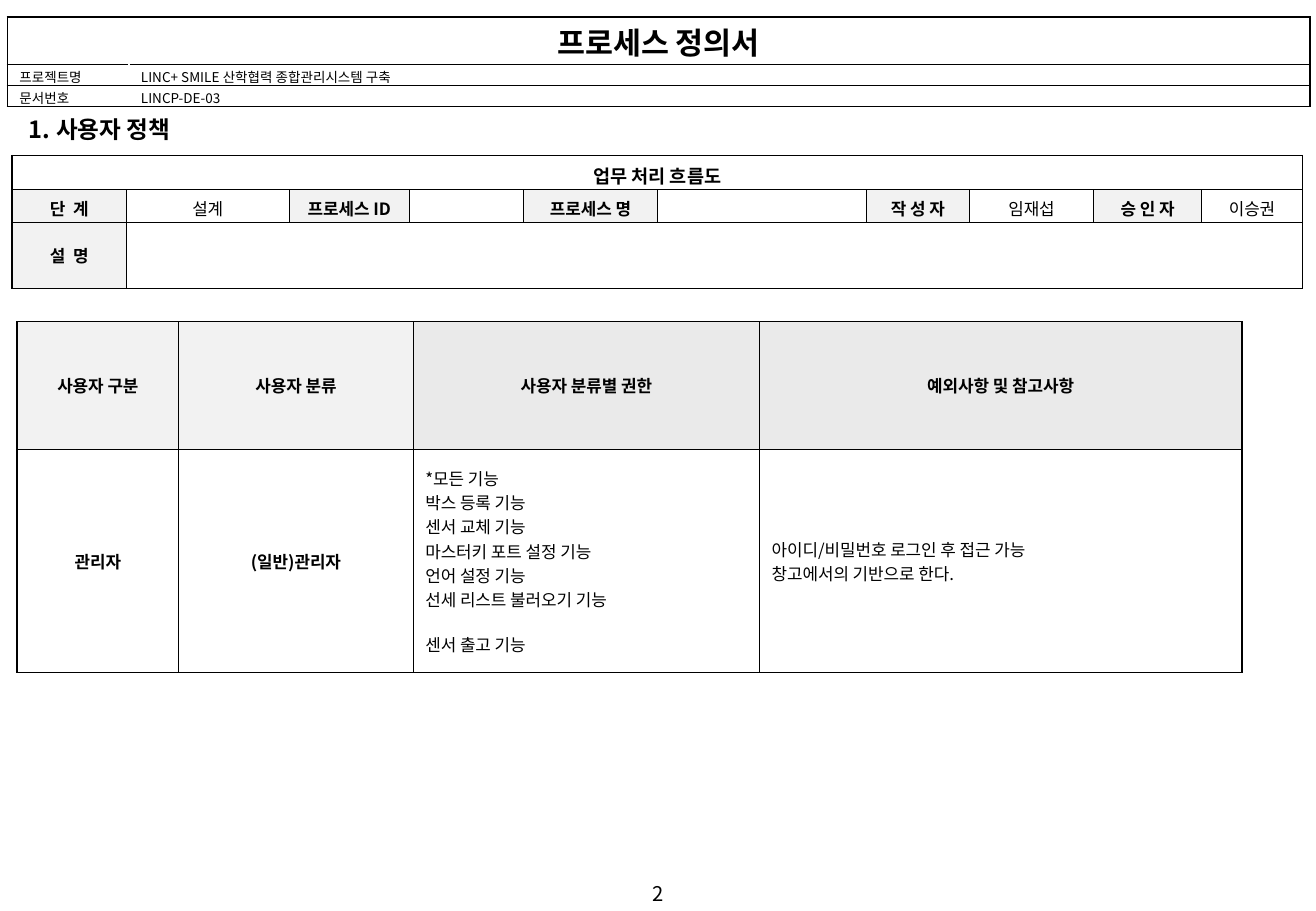
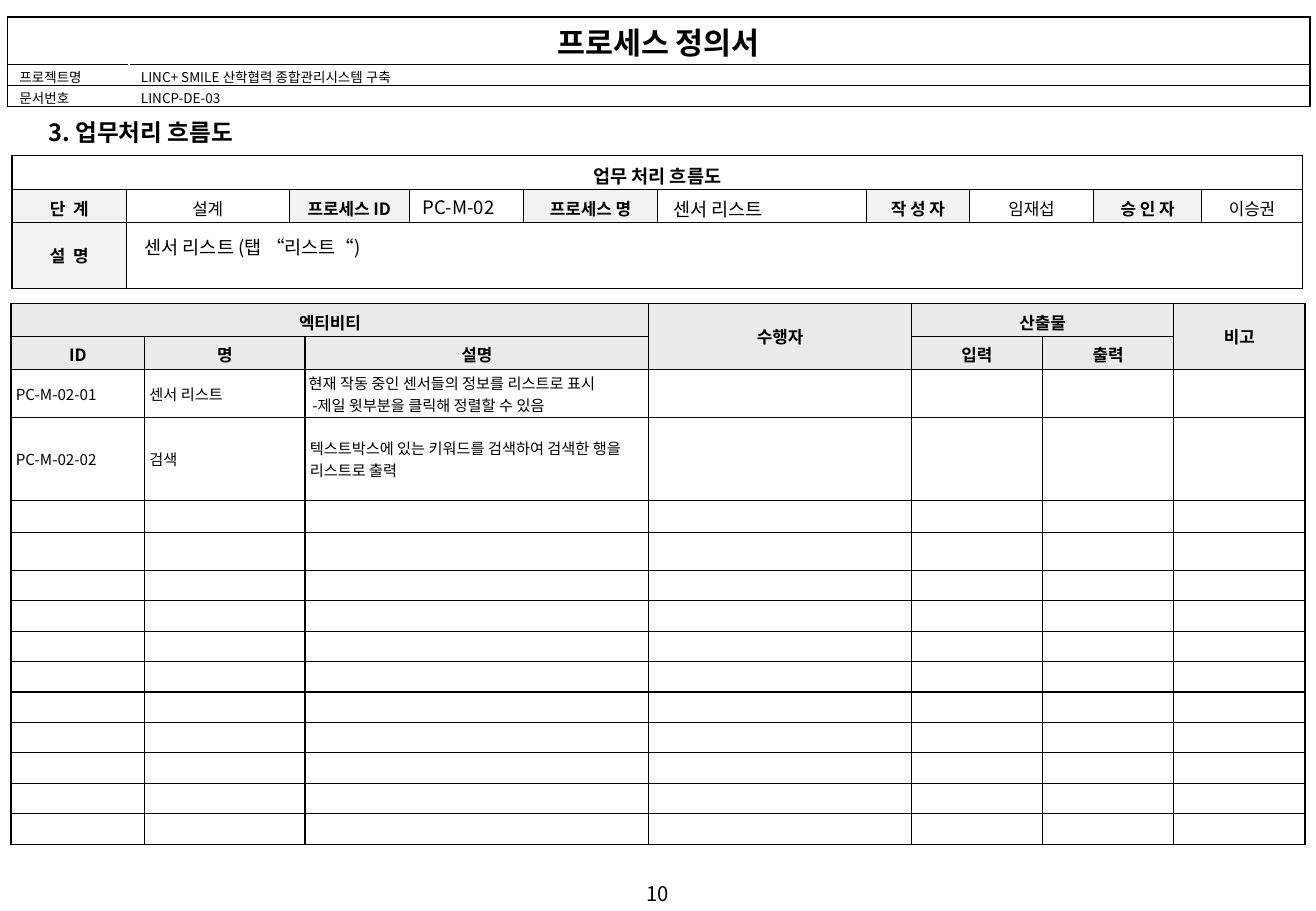
from itertools import accumulate

from lxml import etree
from pptx import Presentation
from pptx.dml import color as c
from pptx.enum import text as t
from pptx.oxml import ns
from pptx.util import Inches, Pt

FONT = "Noto Sans CJK KR"
BLACK = c.RGBColor(0x00, 0x00, 0x00)
WHITE = c.RGBColor(0xFF, 0xFF, 0xFF)
PALE = c.RGBColor(0xF2, 0xF2, 0xF2)
GREY = c.RGBColor(0xEA, 0xEA, 0xEA)
LEFT, CENTER = t.PP_ALIGN.LEFT, t.PP_ALIGN.CENTER
TOP, MIDDLE = t.MSO_ANCHOR.TOP, t.MSO_ANCHOR.MIDDLE
SLIDE_WIDTH, SLIDE_HEIGHT = 10.83, 7.5
THIN, HEAVY = 0.75, 1


def write(frame, content, *, size=10, bold=False, align=LEFT, indents=()):
    for index, line in enumerate(content.split("\n")):
        para = frame.paragraphs[0] if index == 0 else frame.add_paragraph()
        para.alignment = align
        if index < len(indents):
            para._p.get_or_add_pPr().set("marL", str(Inches(indents[index])))
        if not line:
            etree.SubElement(para._p, ns.qn("a:endParaRPr"), sz=str(size * 100))
            continue
        span = para.add_run()
        span.text = line
        span.font.size = Pt(size)
        span.font.bold = bold
        span.font.name = FONT
        span.font.color.rgb = BLACK
        etree.SubElement(span._r.get_or_add_rPr(), ns.qn("a:ea"), typeface=FONT)


def add_label(slide, box, content, **style):
    frame = slide.shapes.add_textbox(*map(Inches, box)).text_frame
    frame.word_wrap = True
    write(frame, content, **style)


def set_borders(cell, borders):
    properties = cell._tc.get_or_add_tcPr()
    for position, (side, (width, color)) in enumerate(borders.items()):
        line = etree.Element(ns.qn("a:ln" + side), w=str(Pt(width)))
        fill = etree.SubElement(line, ns.qn("a:solidFill"))
        etree.SubElement(fill, ns.qn("a:srgbClr"), val=str(color))
        properties.insert(position, line)


def fill_cell(cell, content="", *, fill=WHITE, margins=(0.1, 0.05), anchor=MIDDLE, **style):
    cell.fill.solid()
    cell.fill.fore_color.rgb = fill
    cell.margin_left = cell.margin_right = Inches(margins[0])
    cell.margin_top = cell.margin_bottom = Inches(margins[1])
    cell.vertical_anchor = anchor
    write(cell.text_frame, content, **style)


def add_grid(slide, corner, widths, heights, cells, *, heavy_columns=(), heavy_rows=(),
             hidden_columns=(), spans=(), empty_sizes=()):
    size = sum(widths), sum(heights)
    table = slide.shapes.add_table(
        len(heights), len(widths), *map(Inches, (*corner, *size))).table
    table.first_row = table.horz_banding = False
    for column, width in zip(table.columns, widths):
        column.width = Inches(width)
    for row, height in zip(table.rows, heights):
        row.height = Inches(height)

    def vertical(row, line):
        color = WHITE if row and line in hidden_columns else BLACK
        return HEAVY if line in heavy_columns else THIN, color

    def horizontal(line):
        return HEAVY if line in heavy_rows else THIN, BLACK

    for row in range(len(heights)):
        for column in range(len(widths)):
            cell = table.cell(row, column)
            empty = {"size": empty_sizes[row]} if empty_sizes else {}
            content, style = cells.get((row, column), ("", empty))
            fill_cell(cell, content, **style)
            set_borders(cell, {"L": vertical(row, column), "R": vertical(row, column + 1),
                               "T": horizontal(row), "B": horizontal(row + 1)})
    for first, last in spans:
        table.cell(*first).merge(table.cell(*last))


def add_document_header(slide, corner):
    base = dict(margins=(0.1, 0.02), anchor=TOP)
    small = dict(base, size=8)
    cells = {
        (0, 0): ("프로세스 정의서", dict(base, size=18, bold=True, align=CENTER)),
        (1, 0): ("프로젝트명", small),
        (1, 1): ("LINC+ SMILE 산학협력 종합관리시스템 구축", small),
        (2, 0): ("문서번호", small),
        (2, 1): ("LINCP-DE-03", small),
    }
    add_grid(slide, corner, [1, 9.72], [0.39, 0.17, 0.17], cells,
             heavy_columns=range(3), heavy_rows=range(4), hidden_columns=(1,),
             spans=[((0, 0), (0, 1))])


def add_process_summary(slide, corner, process_id, process_name, description):
    widths = [0.94, 1.34, 0.99, 0.94, 1.1, 1.72, 0.85, 1.02, 0.89, 0.83]
    heading = dict(fill=PALE, bold=True, align=CENTER)
    fields = ["단  계", "설계", "프로세스 ID", "", "프로세스 명", "",
              "작 성 자", "임재섭", "승 인 자", "이승권"]
    cells = {(1, column): (name, dict(align=CENTER) if column % 2 else heading)
             for column, name in enumerate(fields)}
    cells[0, 0] = "업무 처리 흐름도", dict(size=11, bold=True, align=CENTER)
    cells[2, 0] = "설  명", heading
    add_grid(slide, corner, widths, [0.28, 0.27, 0.54], cells,
             heavy_columns=(0, 10), heavy_rows=(0, 3),
             spans=[((0, 0), (0, 9)), ((2, 1), (2, 9))])
    left, top = corner
    starts = [left + offset for offset in accumulate(widths, initial=0)]
    for content, x, y, width in (
            (process_id, starts[3] + 0.01, top + 0.28, 0.93),
            (process_name, starts[5] + 0.03, top + 0.3, 1.71),
            (description, starts[1] + 0.05, top + 0.61, 9.53)):
        if content:
            add_label(slide, (x, y, width, 0.29), content, size=11)


def add_user_policy(slide, corner):
    heading = dict(bold=True, align=CENTER)
    titles = [("사용자 구분", PALE), ("사용자 분류", PALE),
              ("사용자 분류별 권한", GREY), ("예외사항 및 참고사항", GREY)]
    cells = {(0, column): (title, dict(heading, fill=fill))
             for column, (title, fill) in enumerate(titles)}
    rights = ("*모든 기능\n박스 등록 기능\n센서 교체 기능\n마스터키 포트 설정 기능\n"
              "언어 설정 기능\n선세 리스트 불러오기 기능\n\n센서 출고 기능")
    notes = "아이디/비밀번호 로그인 후 접근 가능\n창고에서의 기반으로 한다."
    cells.update({(1, 0): ("관리자", heading), (1, 1): ("(일반)관리자", heading),
                  (1, 2): (rights, {}), (1, 3): (notes, {})})
    add_grid(slide, corner, [1.33, 1.93, 2.85, 3.97], [1.05, 1.84], cells,
             heavy_columns=(0, 3, 4))


def add_activities(slide, corner):
    heading = dict(fill=GREY, bold=True, align=CENTER)
    body = dict(size=9, margins=(0.04, 0.04))
    titles = {(0, 0): "엑티비티", (0, 3): "수행자", (0, 4): "산출물", (0, 6): "비고",
              (1, 0): "ID", (1, 1): "명", (1, 2): "설명", (1, 4): "입력", (1, 5): "출력"}
    cells = {(row, column): (titles.get((row, column), ""), heading)
             for row in range(2) for column in range(7)}
    cells.update({
        (2, 0): ("PC-M-02-01", body),
        (2, 1): ("센서 리스트", body),
        (2, 2): ("현재 작동 중인 센서들의 정보를 리스트로 표시\n-제일 윗부분을 클릭해 정렬할 수 있음",
                 dict(size=9, margins=(0, 0), indents=(0.03, 0.06))),
        (3, 0): ("PC-M-02-02", body),
        (3, 1): ("검색", body),
        (3, 2): ("텍스트박스에 있는 키워드를 검색하여 검색한 행을 리스트로 출력", body),
    })
    add_grid(slide, corner, [1.1, 1.32, 2.83, 2.16] + [1.08] * 3,
             [0.27, 0.27, 0.4, 0.68, 0.25, 0.31] + [0.25] * 9, cells, heavy_columns=(0,),
             spans=[((0, 0), (0, 2)), ((0, 3), (1, 3)), ((0, 4), (0, 5)), ((0, 6), (1, 6))],
             empty_sizes=[10] * 6 + [8] * 3 + [9] * 6)


def add_page(deck, number, title, title_box, process_id="", process_name="", description=""):
    slide = deck.slides.add_slide(deck.slide_layouts[6])
    add_label(slide, (0, 7.21, SLIDE_WIDTH, 0.3), str(number), size=12, align=CENTER)
    add_document_header(slide, (0.06, 0.14))
    add_process_summary(slide, (0.1, 1.28), process_id, process_name, description)
    add_label(slide, title_box, title, size=14, bold=True)
    return slide


deck = Presentation()
deck.slide_width, deck.slide_height = Inches(SLIDE_WIDTH), Inches(SLIDE_HEIGHT)
policy_page = add_page(deck, 2, "1. 사용자 정책", (0.14, 0.9, 1.57, 0.34))
add_user_policy(policy_page, (0.14, 2.65))
flow_page = add_page(deck, 10, "3. 업무처리 흐름도", (0.3, 0.92, 1.96, 0.34),
                     "PC-M-02", "센서 리스트", "센서 리스트 (탭 “리스트“)")
add_activities(flow_page, (0.09, 2.5))
deck.save("out.pptx")
